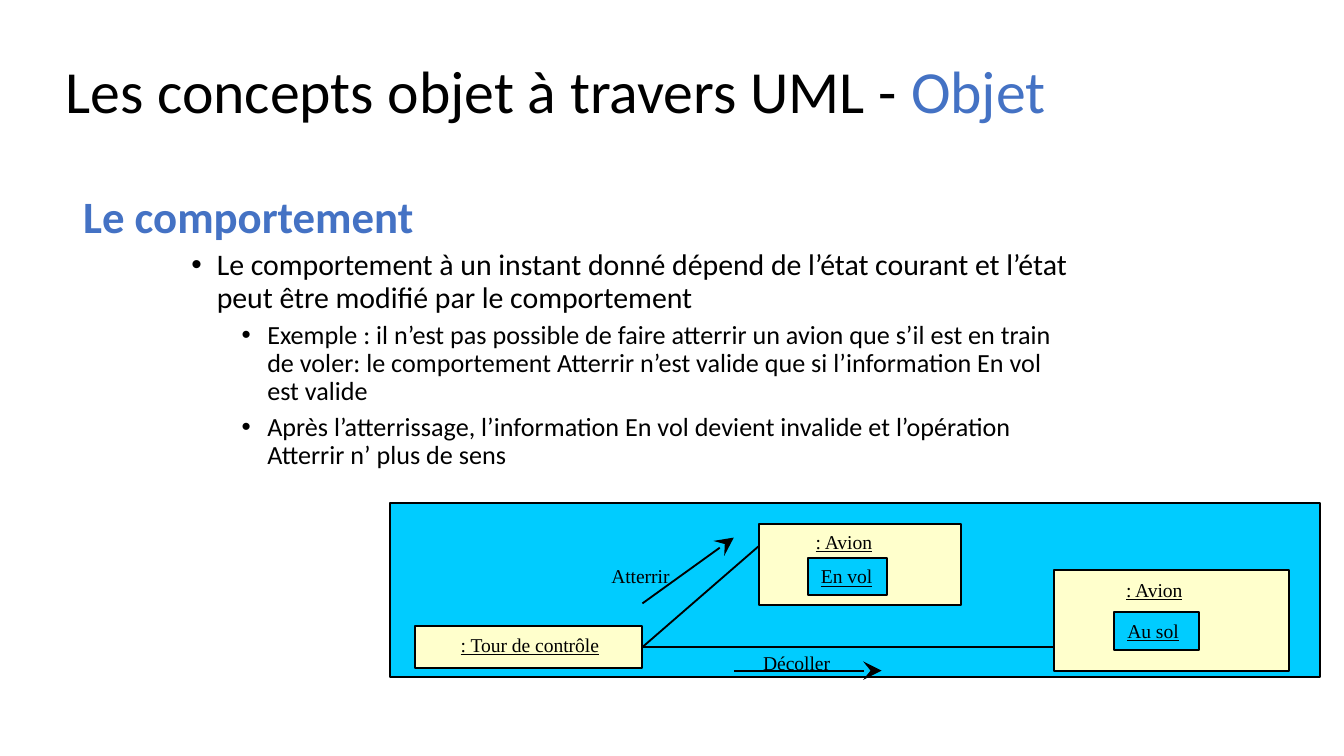
from lxml.etree import SubElement
from pptx import Presentation
from pptx.dml.color import RGBColor
from pptx.enum.shapes import MSO_CONNECTOR, MSO_SHAPE
from pptx.enum.text import MSO_ANCHOR, PP_ALIGN
from pptx.oxml.ns import qn
from pptx.util import Pt

PX = 4572  # EMU in one px, 200 px to the inch
COLORS = {
    "black": "000000",
    "accent": "4472C4",
    "sky": "00CCFF",
    "cream": "FFFFCC",
}
RIGHT_SIDE = 3


def color(name):
    return RGBColor.from_string(COLORS[name])


class SlideBuilder:
    text_font = "Calibri"
    label_font = "Times New Roman"
    label_size = 10.5
    label_height = 56
    line_width = 1

    def __init__(self, slide):
        self.slide = slide
        self.group = slide.shapes.add_group_shape()

    def set_font(self, font, name, size, tint="black", bold=False, underline=False):
        font.name = name
        font.size = Pt(size)
        font.color.rgb = color(tint)
        font.bold = bold
        font.underline = underline

    def text_frame(self, left, top, width, height, anchor=MSO_ANCHOR.TOP):
        box = self.slide.shapes.add_textbox(left * PX, top * PX, width * PX, height * PX)
        frame = box.text_frame
        frame.word_wrap = True
        frame.vertical_anchor = anchor
        return frame

    def title(self, left, top, width, height, spans):
        frame = self.text_frame(left, top, width, height, MSO_ANCHOR.MIDDLE)
        para = frame.paragraphs[0]
        para.line_spacing = 0.9
        for text, tint in spans:
            span = para.add_run()
            span.text = text
            self.set_font(span.font, self.text_font, 32, tint)

    def body(self, left, top, width, height, entries):
        frame = self.text_frame(left, top, width, height)
        for index, (text, level, margin, size) in enumerate(entries):
            heading = index == 0
            para = frame.paragraphs[0] if heading else frame.add_paragraph()
            para.text = text
            para.level = level
            para.line_spacing = 0.9
            para.space_before = Pt(0 if heading else 3.8)
            properties = para._p.get_or_add_pPr()
            properties.set("marL", str(margin * PX))
            properties.set("indent", str(0 if heading else -38 * PX))
            if not heading:
                SubElement(properties, qn("a:buFont")).set("typeface", "Arial")
                SubElement(properties, qn("a:buChar")).set("char", "•")
            tint = "accent" if heading else "black"
            self.set_font(para.font, self.text_font, size, tint, bold=heading)

    def rectangle(self, left, top, width, height, fill):
        box = self.group.shapes.add_shape(
            MSO_SHAPE.RECTANGLE, left * PX, top * PX, width * PX, height * PX)
        box.shadow.inherit = False
        box.fill.solid()
        box.fill.fore_color.rgb = color(fill)
        box.line.color.rgb = color("black")
        box.line.width = Pt(self.line_width)
        return box

    def write_label(self, box, text, underline):
        frame = box.text_frame
        frame.word_wrap = True
        frame.margin_right = 0
        frame.vertical_anchor = MSO_ANCHOR.TOP
        para = frame.paragraphs[0]
        para.text = text
        para.alignment = PP_ALIGN.LEFT
        self.set_font(para.font, self.label_font, self.label_size, underline=underline)

    def label(self, left, top, width, text, underline=False):
        box = self.group.shapes.add_textbox(
            left * PX, top * PX, width * PX, self.label_height * PX)
        self.write_label(box, text, underline)

    def state(self, left, top, width, text):
        box = self.rectangle(left, top, width, self.label_height, "sky")
        self.write_label(box, text, underline=True)

    def line(self, start, end, source=None, arrow=False):
        x1, y1, x2, y2 = (value * PX for value in start + end)
        connector = self.group.shapes.add_connector(MSO_CONNECTOR.STRAIGHT, x1, y1, x2, y2)
        if source is not None:
            connector.begin_connect(source, RIGHT_SIDE)
        connector.line.color.rgb = color("black")
        connector.line.width = Pt(self.line_width)
        if arrow:
            head = SubElement(connector.line._get_or_add_ln(), qn("a:tailEnd"))
            head.set("type", "stealth")
            head.set("w", "lg")
            head.set("len", "lg")
        SubElement(connector._element.spPr, qn("a:effectLst"))


def main():
    deck = Presentation()
    deck.slide_width = 2000 * PX
    deck.slide_height = 1125 * PX
    page = SlideBuilder(deck.slides.add_slide(deck.slide_layouts[6]))

    # Title and text
    page.title(78, 77, 1714, 126, [
        ("Les concepts objet à travers UML - ", "black"),
        ("Objet", "accent"),
    ])
    page.body(40, 280, 1576, 710, [
        ("Le comportement", 2, 64, 24),
        ("Le comportement à un instant donné dépend de l’état courant et l’état "
         "peut être modifié par le comportement", 3, 263, 16),
        ("Exemple : il n’est pas possible de faire atterrir un avion que s’il est en train "
         "de voler: le comportement Atterrir n’est valide que si l’information En vol "
         "est valide", 4, 338, 14),
        ("Après l’atterrissage, l’information En vol devient invalide et l’opération "
         "Atterrir n’ plus de sens", 4, 338, 14),
    ])

    # Diagram background and objects
    page.rectangle(580, 748, 1384, 260, "sky")
    tower = page.rectangle(618, 932, 338, 62, "cream")
    page.rectangle(1130, 780, 300, 120, "cream")
    page.rectangle(1568, 848, 350, 150, "cream")

    # Object names and states
    page.label(666, 932, 252, ": Tour de contrôle", underline=True)
    page.label(1194, 779, 130, ": Avion", underline=True)
    page.label(1656, 850, 130, ": Avion", underline=True)
    page.state(1658, 911, 126, "Au sol")
    page.state(1202, 830, 118, "En vol")

    # Links from the tower to the planes
    page.line((956, 963), (1130, 812), source=tower)
    page.line((956, 963), (1568, 963), source=tower)

    # Messages
    page.line((1093, 998), (1312, 998), arrow=True)
    page.line((956, 898), (1092, 800), arrow=True)
    page.label(890, 830, 128, "Atterrir")
    page.label(1116, 959, 142, "Décoller")

    deck.save("out.pptx")


if __name__ == "__main__":
    main()
